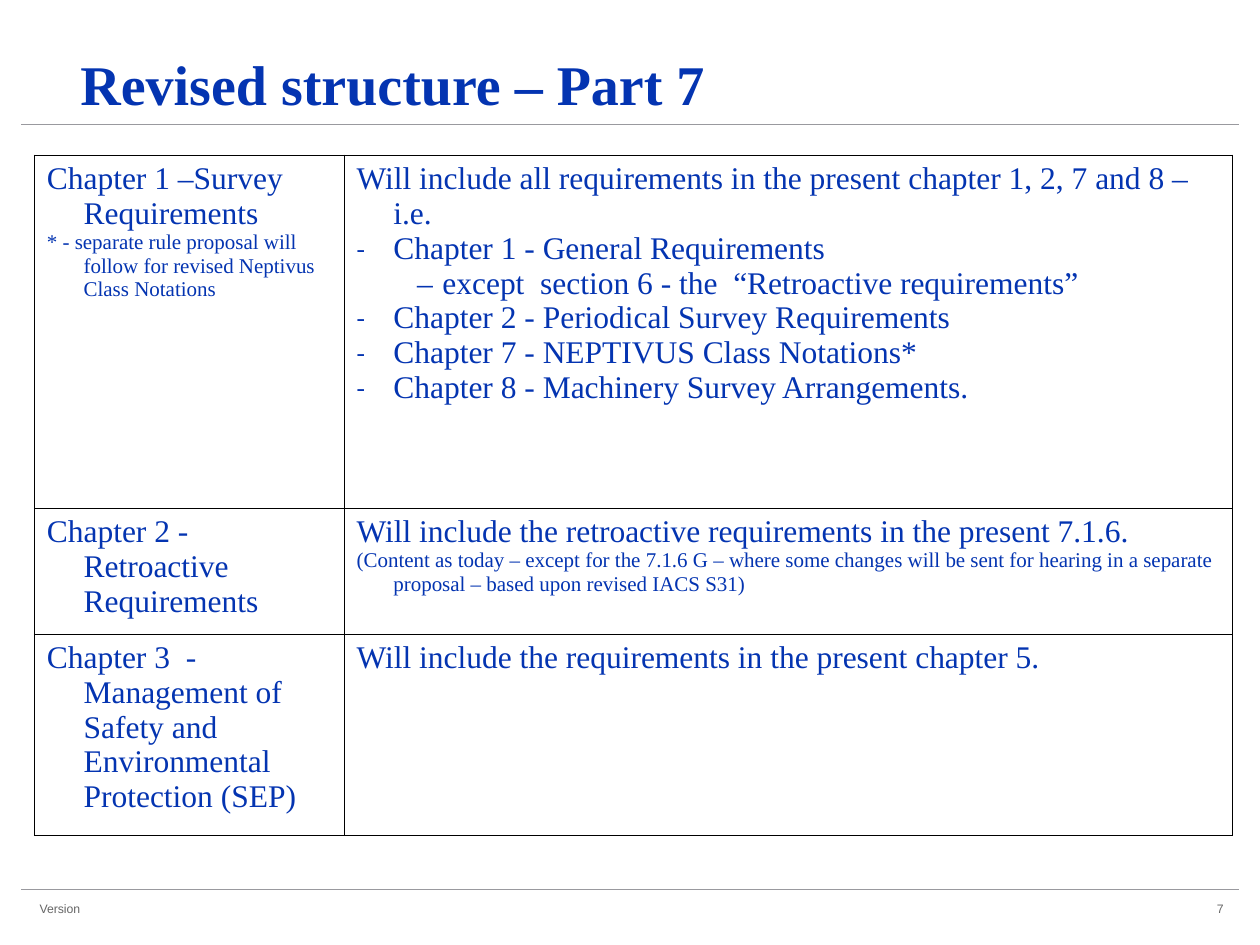
from lxml.etree import SubElement
from pptx import Presentation
from pptx.dml.color import RGBColor
from pptx.enum.shapes import MSO_CONNECTOR
from pptx.enum.text import MSO_ANCHOR, PP_ALIGN
from pptx.oxml.ns import qn
from pptx.util import Pt

BLUE = RGBColor(0x04, 0x34, 0xB1)
GREY = RGBColor(0x66, 0x66, 0x66)
RULE_GREY = RGBColor(0x99, 0x99, 0x9E)
BLACK = RGBColor(0, 0, 0)

SERIF = "Times New Roman"
SANS = "Arial"
BODY, NOTE = 18, 12

# Paragraph kinds: size, level, left margin, hanging indent, bullet, bullet size in percent
KINDS = {
    "body": (BODY, 0, 21, 21, None, None),
    "note": (NOTE, 0, 21, 21, None, None),
    "item": (BODY, 0, 21, 21, "-", 80),
    "subitem": (BODY, 1, 49, 14.4, "–", 100),
}

COLUMN_WIDTHS = [177, 507.5]
ROW_HEIGHTS = [201.6, 72, 115.2]
CHAPTERS = [
    (
        [
            ("body", "Chapter 1 –Survey Requirements"),
            ("note", "* - separate rule proposal will follow for revised Neptivus Class Notations"),
        ],
        [
            ("body", "Will include all requirements in the present chapter 1, 2, 7 and 8 – i.e."),
            ("item", "Chapter 1 - General Requirements"),
            ("subitem", "except  section 6 - the  “Retroactive requirements”"),
            ("item", "Chapter 2 - Periodical Survey Requirements"),
            ("item", "Chapter 7 - NEPTIVUS Class Notations*"),
            ("item", "Chapter 8 - Machinery Survey Arrangements."),
        ],
    ),
    (
        [("body", "Chapter 2 - Retroactive Requirements")],
        [
            ("body", "Will include the retroactive requirements in the present 7.1.6."),
            ("note", "(Content as today – except for the 7.1.6 G – where some changes will be sent "
                     "for hearing in a separate proposal – based upon revised IACS S31)"),
        ],
    ),
    (
        [("body", "Chapter 3  - Management of Safety and Environmental Protection (SEP)")],
        [("body", "Will include the requirements in the present chapter 5.")],
    ),
]


class SlideBuilder:
    """Holds the current slide and the style of its elements."""

    def __init__(self, slide):
        self.slide = slide

    def set_font(self, paragraph, size, name, color, bold=False):
        font = paragraph.font
        font.size = Pt(size)
        font.name = name
        font.bold = bold
        font.color.rgb = color

    def rule(self, top):
        line = self.slide.shapes.add_connector(
            MSO_CONNECTOR.STRAIGHT, Pt(12.24), Pt(top), Pt(707.76), Pt(top))
        line.line.color.rgb = RULE_GREY
        line.line.width = Pt(0.5)
        SubElement(line._element.spPr, qn("a:effectLst"))

    def text(self, box, text, size, name, color, bold=False,
             align=PP_ALIGN.LEFT, anchor=MSO_ANCHOR.TOP, spacing=1.0):
        shape = self.slide.shapes.add_textbox(*(Pt(length) for length in box))
        frame = shape.text_frame
        frame.word_wrap = True
        frame.vertical_anchor = anchor
        paragraph = frame.paragraphs[0]
        paragraph.text = text
        paragraph.alignment = align
        paragraph.line_spacing = spacing
        self.set_font(paragraph, size, name, color, bold)

    def cell_paragraph(self, paragraph, kind, text):
        size, level, margin, hanging, bullet, bullet_size = KINDS[kind]
        paragraph.text = text
        paragraph.level = level
        properties = paragraph._p.get_or_add_pPr()
        properties.set("marL", str(Pt(margin)))
        properties.set("indent", str(-Pt(hanging)))
        if bullet:
            color = SubElement(properties, qn("a:buClr"))
            SubElement(color, qn("a:srgbClr"), val=str(BLUE))
            SubElement(properties, qn("a:buSzPct"), val=str(bullet_size * 1000))
            SubElement(properties, qn("a:buFont"), typeface=SERIF)
            SubElement(properties, qn("a:buChar"), char=bullet)
        else:
            SubElement(properties, qn("a:buNone"))
        self.set_font(paragraph, size, SERIF, BLUE)

    def cell(self, cell, content):
        # Borders come before the fill in the cell properties
        properties = cell._tc.get_or_add_tcPr()
        for side in ("lnL", "lnR", "lnT", "lnB"):
            border = SubElement(properties, qn(f"a:{side}"), w=str(Pt(0.45)))
            fill = SubElement(border, qn("a:solidFill"))
            SubElement(fill, qn("a:srgbClr"), val=str(BLACK))
        cell.fill.background()
        frame = cell.text_frame
        for index, (kind, text) in enumerate(content):
            paragraph = frame.add_paragraph() if index else frame.paragraphs[0]
            self.cell_paragraph(paragraph, kind, text)

    def table(self, left, top, widths, heights, rows):
        table = self.slide.shapes.add_table(
            len(heights), len(widths), Pt(left), Pt(top),
            Pt(sum(widths)), Pt(sum(heights))).table
        table.first_row = table.horz_banding = False
        for column, width in zip(table.columns, widths):
            column.width = Pt(width)
        for row, height, contents in zip(table.rows, heights, rows):
            row.height = Pt(height)
            for cell, content in zip(row.cells, contents):
                self.cell(cell, content)


def main():
    presentation = Presentation()
    presentation.slide_width, presentation.slide_height = Pt(720), Pt(540)
    builder = SlideBuilder(presentation.slides.add_slide(presentation.slide_layouts[6]))

    # Header and footer rules
    for top in (71.4, 508.2):
        builder.rule(top)

    # Chapter overview
    builder.table(19.6, 88.6, COLUMN_WIDTHS, ROW_HEIGHTS, CHAPTERS)

    # Title
    builder.text((38.9, 19.4, 538.6, 51.1), "Revised structure – Part 7", 32, SERIF, BLUE,
                 bold=True, anchor=MSO_ANCHOR.BOTTOM, spacing=0.85)

    # Footer
    builder.text((15.6, 511.2, 228.2, 16.6), "Version", 7, SANS, GREY)
    builder.text((659.5, 511.2, 46.8, 16.6), "7", 7, SANS, GREY, align=PP_ALIGN.RIGHT)

    presentation.save("out.pptx")


if __name__ == "__main__":
    main()
